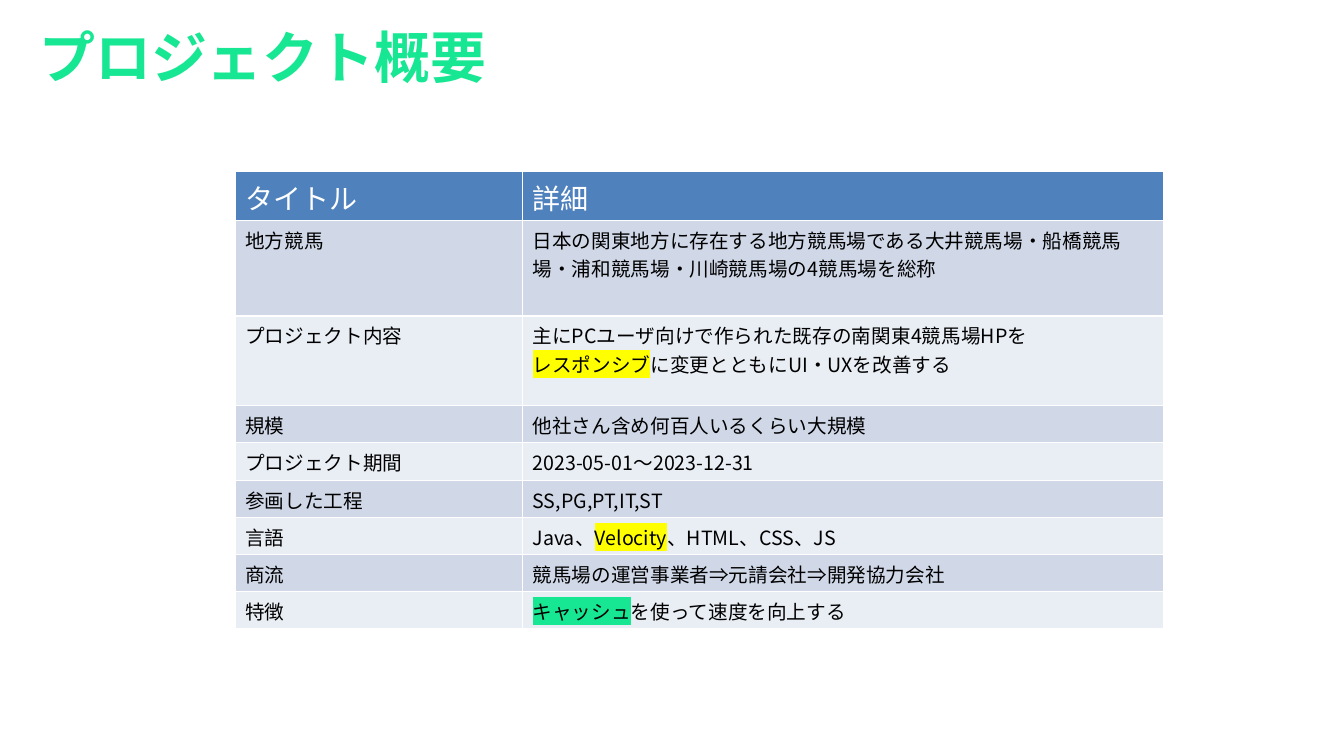
"""Build the project overview slide with its title and detail table."""
from lxml.etree import SubElement
from pptx import Presentation
from pptx.dml.color import RGBColor
from pptx.enum.text import MSO_ANCHOR
from pptx.oxml import parse_xml
from pptx.oxml.ns import nsdecls, qn
from pptx.util import Pt

COLORS = {
    "green": "17E793",
    "header": "4F81BD",
    "band_dark": "D0D8E8",
    "band_light": "E9EDF4",
    "white": "FFFFFF",
    "black": "000000",
    "yellow": "FFFF00",
}
EAST_ASIAN_FONT = "Noto Sans CJK JP"
TITLE_FORMAT = {"size": Pt(40), "bold": True, "name": "Calibri"}
HEADER_FORMAT = {"size": Pt(20), "bold": False, "name": EAST_ASIAN_FONT}
BODY_FORMAT = {"size": Pt(14), "bold": False, "name": EAST_ASIAN_FONT}
TITLE_FRAME = {
    "word_wrap": True,
    "vertical_anchor": MSO_ANCHOR.MIDDLE,
    "margin_left": Pt(7.2),
    "margin_right": Pt(7.2),
    "margin_top": Pt(3.6),
    "margin_bottom": Pt(3.6),
}
COLUMN_WIDTHS = [205.2, 457.9]
ROW_HEIGHTS = [34.6, 68.5, 64] + [26.6] * 6

# Each detail is a list of paragraphs; each paragraph is a list of (text, highlight).
HEADINGS = ("タイトル", [[("詳細", None)]])
DETAILS = [
    ("地方競馬", [[("日本の関東地方に存在する地方競馬場である大井競馬場・船橋競馬場・"
                "浦和競馬場・川崎競馬場の4競馬場を総称", None)]]),
    ("プロジェクト内容", [
        [("主にPCユーザ向けで作られた既存の南関東4競馬場HPを", None)],
        [("レスポンシブ", "yellow"), ("に変更とともにUI・UXを改善する", None)],
    ]),
    ("規模", [[("他社さん含め何百人いるくらい大規模", None)]]),
    ("プロジェクト期間", [[("2023-05-01～2023-12-31", None)]]),
    ("参画した工程", [[("SS,PG,PT,IT,ST", None)]]),
    ("言語", [[("Java、", None), ("Velocity", "yellow"), ("、HTML、CSS、JS", None)]]),
    ("商流", [[("競馬場の運営事業者⇒元請会社⇒開発協力会社", None)]]),
    ("特徴", [[("キャッシュ", "green"), ("を使って速度を向上する", None)]]),
]


def set_attributes(target, values):
    """Set every named value on the target."""
    for name, value in values.items():
        setattr(target, name, value)


def add_run(paragraph, text, font_format, color, highlight=None):
    """Add a formatted run, highlighted if a colour is named."""
    run = paragraph.add_run()
    run.text = text
    set_attributes(run.font, font_format)
    run.font.color.rgb = RGBColor.from_string(COLORS[color])
    latin = run.font._element.find(qn("a:latin"))
    latin.addnext(parse_xml(f'<a:ea {nsdecls("a")} typeface="{EAST_ASIAN_FONT}"/>'))
    if highlight:
        latin.addprevious(parse_xml(
            f'<a:highlight {nsdecls("a")}>'
            f'<a:srgbClr val="{COLORS[highlight]}"/></a:highlight>'))


def add_title(slide, text):
    """Add the slide title."""
    shape = slide.shapes.add_textbox(Pt(20.9), Pt(8.6), Pt(651.6), Pt(62.6))
    set_attributes(shape.text_frame, TITLE_FRAME)
    add_run(shape.text_frame.paragraphs[0], text, TITLE_FORMAT, "green")


def style_cell(cell, fill):
    """Give a cell white borders and a solid fill."""
    properties = cell._tc.get_or_add_tcPr()
    for side in ("a:lnL", "a:lnR", "a:lnT", "a:lnB"):
        line = SubElement(properties, qn(side), w=str(Pt(1)))
        solid = SubElement(line, qn("a:solidFill"))
        SubElement(solid, qn("a:srgbClr"), val=COLORS["white"])
    cell.fill.solid()
    cell.fill.fore_color.rgb = RGBColor.from_string(COLORS[fill])


def fill_cell(cell, paragraphs, fill, font_format, color):
    """Write the paragraphs of a cell and style it."""
    style_cell(cell, fill)
    frame = cell.text_frame
    for index, runs in enumerate(paragraphs):
        paragraph = frame.add_paragraph() if index else frame.paragraphs[0]
        for text, highlight in runs:
            add_run(paragraph, text, font_format, color, highlight)


def add_detail_table(slide):
    """Add the table of project details."""
    rows = [HEADINGS, *DETAILS]
    table = slide.shapes.add_table(
        len(rows), len(COLUMN_WIDTHS), Pt(168), Pt(122.7),
        Pt(sum(COLUMN_WIDTHS)), Pt(sum(ROW_HEIGHTS))).table
    for column, width in zip(table.columns, COLUMN_WIDTHS):
        column.width = Pt(width)
    for row, height in zip(table.rows, ROW_HEIGHTS):
        row.height = Pt(height)
    for index, (label, detail) in enumerate(rows):
        if index == 0:
            style = ("header", HEADER_FORMAT, "white")
        else:
            style = ("band_dark" if index % 2 else "band_light", BODY_FORMAT, "black")
        fill_cell(table.cell(index, 0), [[(label, None)]], *style)
        fill_cell(table.cell(index, 1), detail, *style)


def main():
    """Build and save the presentation."""
    presentation = Presentation()
    set_attributes(presentation, {"slide_width": Pt(960), "slide_height": Pt(540)})
    slide = presentation.slides.add_slide(presentation.slide_layouts[6])
    add_title(slide, "プロジェクト概要")
    add_detail_table(slide)
    presentation.save("out.pptx")


if __name__ == "__main__":
    main()
